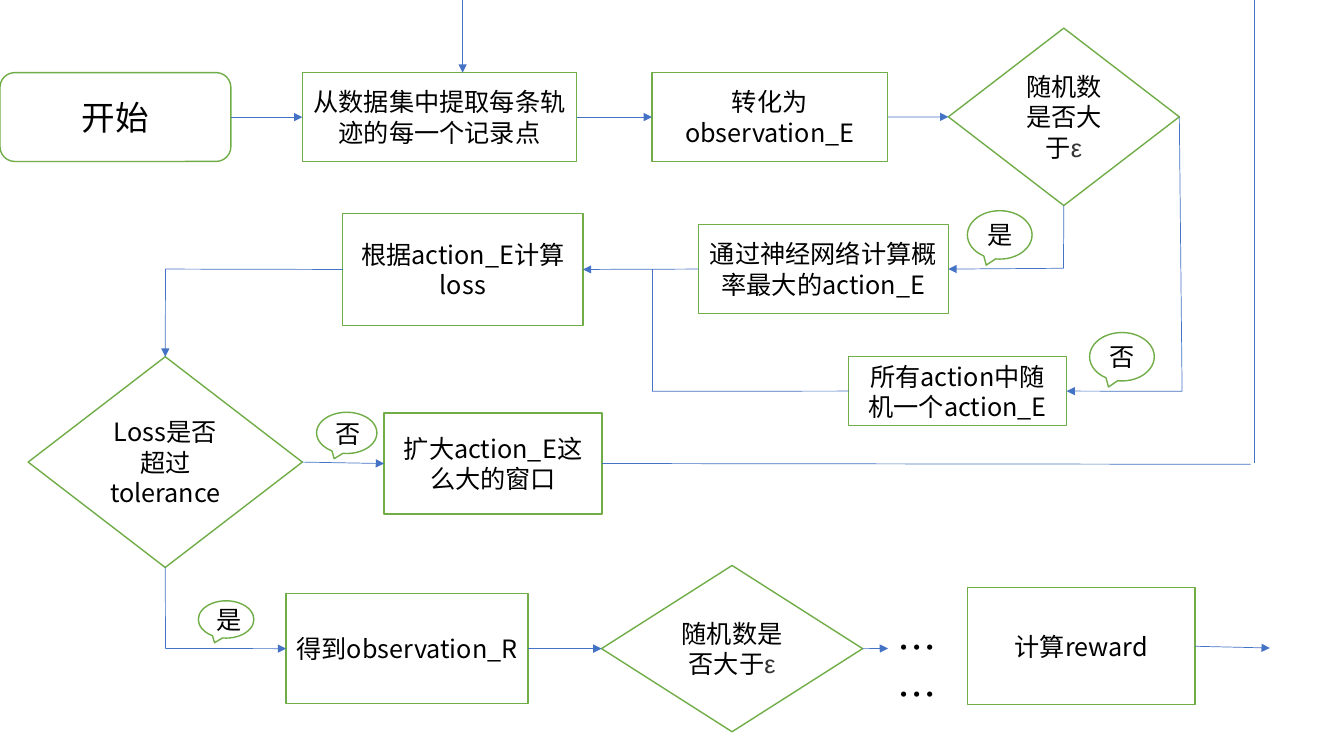
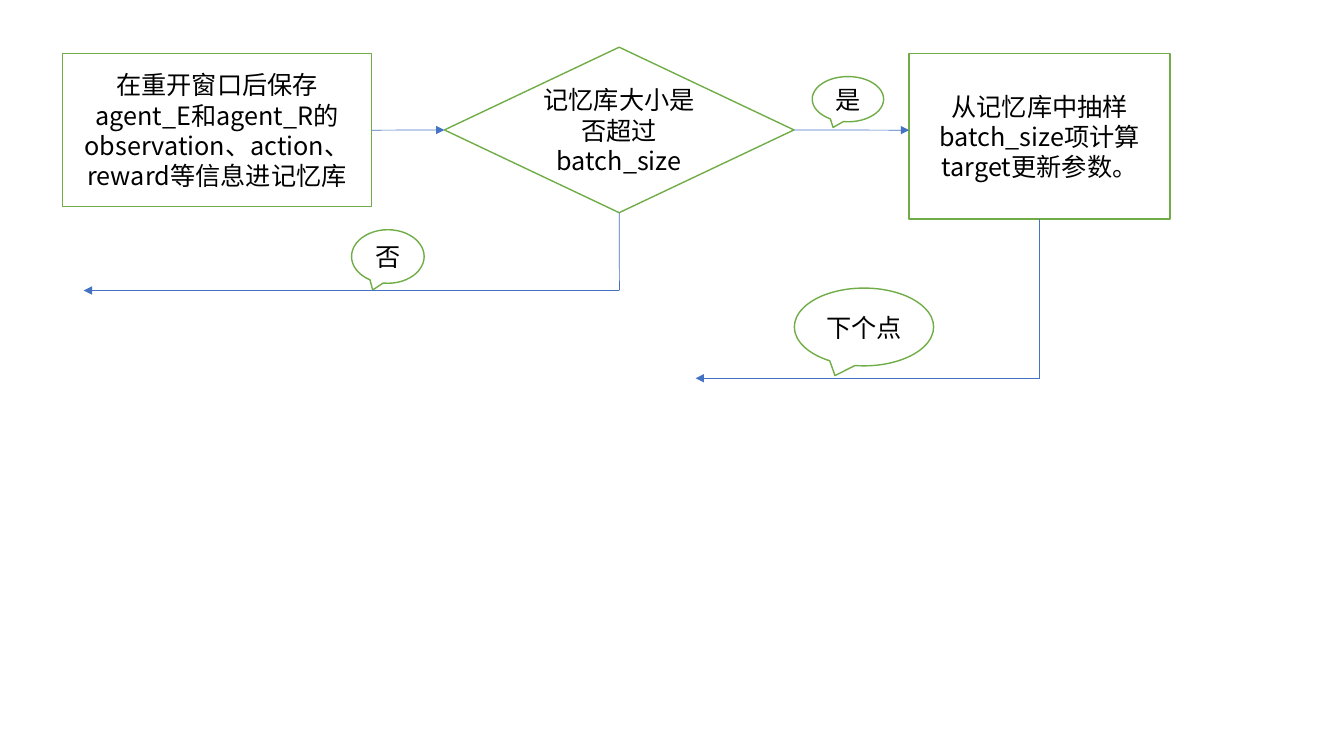
from dataclasses import dataclass
from lxml.etree import SubElement
from pptx import Presentation
from pptx.dml.color import RGBColor
from pptx.enum.shapes import MSO_CONNECTOR, MSO_SHAPE
from pptx.enum.text import MSO_ANCHOR, MSO_AUTO_SIZE, PP_ALIGN
from pptx.oxml.ns import qn
from pptx.util import Cm, Pt


@dataclass(frozen=True)
class Theme:
    paper: RGBColor = RGBColor(0xFF, 0xFF, 0xFF)
    outline: RGBColor = RGBColor(0x70, 0xAD, 0x47)
    wire: RGBColor = RGBColor(0x44, 0x72, 0xC4)
    ink: RGBColor = RGBColor(0, 0, 0)
    symbol_ink: RGBColor = RGBColor(0x33, 0x33, 0x33)
    font: str = "Noto Sans CJK SC"
    symbol_font: str = "Arial"
    body: Pt = Pt(18)
    start: Pt = Pt(24)
    dots: Pt = Pt(28)
    outline_width: Pt = Pt(1)
    wire_width: Pt = Pt(0.5)


theme = Theme()
TERMINAL = MSO_SHAPE.FLOWCHART_ALTERNATE_PROCESS
PROCESS = MSO_SHAPE.FLOWCHART_PROCESS
RECTANGLE = MSO_SHAPE.RECTANGLE
DECISION = MSO_SHAPE.DIAMOND
CALLOUT = MSO_SHAPE.OVAL_CALLOUT
PLAIN = None
TOP, LEFT, BOTTOM, RIGHT = range(4)
SYMBOL = "ε"


def add_box(page, kind, bounds, text, size):
    place = [Cm(length) for length in bounds]
    if kind is PLAIN:
        box = page.shapes.add_textbox(*place)
        box.text_frame.auto_size = MSO_AUTO_SIZE.SHAPE_TO_FIT_TEXT
    else:
        box = page.shapes.add_shape(kind, *place)
        box.shadow.inherit = False
        box.fill.solid()
        box.fill.fore_color.rgb = theme.paper
        box.line.color.rgb = theme.outline
        box.line.width = theme.outline_width
        box.text_frame.vertical_anchor = MSO_ANCHOR.MIDDLE
    box.text_frame.word_wrap = True
    para = box.text_frame.paragraphs[0]
    para.alignment = PP_ALIGN.LEFT if kind is PLAIN else PP_ALIGN.CENTER
    para.font.size = size
    para.font.name = theme.font
    para.font.color.rgb = theme.ink
    for properties in para._p.iter(qn("a:defRPr")):
        SubElement(properties, qn("a:ea"), typeface=theme.font)
    for part in filter(None, text.partition(SYMBOL)):
        span = para.add_run()
        span.text = part
        if part == SYMBOL:
            span.font.name = theme.symbol_font
            span.font.color.rgb = theme.symbol_ink
    return box


def add_wire(page, boxes, stops, arrow):
    points = []
    for first, second in stops:
        if isinstance(first, str):
            box = boxes[first]
            across = {LEFT: 0, RIGHT: 1}.get(second, 0.5)
            down = {TOP: 0, BOTTOM: 1}.get(second, 0.5)
            points.append((int(box.left + box.width * across), int(box.top + box.height * down)))
        else:
            points.append((Cm(first), Cm(second)))
    for index, (begin, end) in enumerate(zip(points, points[1:])):
        wire = page.shapes.add_connector(MSO_CONNECTOR.STRAIGHT, *begin, *end)
        wire.line.color.rgb = theme.wire
        wire.line.width = theme.wire_width
        source, target = stops[index], stops[index + 1]
        if isinstance(source[0], str):
            wire.begin_connect(boxes[source[0]], source[1])
        if isinstance(target[0], str):
            wire.end_connect(boxes[target[0]], target[1])
        if arrow and index == len(points) - 2:
            SubElement(wire.line._get_or_add_ln(), qn("a:tailEnd"), type="triangle")
        SubElement(wire._element.spPr, qn("a:effectLst"))


training_boxes = {
    "start": (TERMINAL, (0, 1.83, 5.82, 2.24), "开始"),
    "extract": (PROCESS, (7.62, 1.83, 6.91, 2.24), "从数据集中提取每条轨迹的每一个记录点"),
    "observation_E": (PROCESS, (16.43, 1.83, 5.94, 2.24), "转化为observation_E"),
    "epsilon_E": (DECISION, (23.9, 0.71, 5.82, 4.47), "随机数是否大于ε"),
    "epsilon yes": (CALLOUT, (24.38, 5.31, 1.63, 1.22), "是"),
    "epsilon no": (CALLOUT, (27.46, 8.38, 1.63, 1.22), "否"),
    "greedy": (RECTANGLE, (17.6, 5.66, 6.3, 2.24), "通过神经网络计算概率最大的action_E"),
    "random": (PROCESS, (21.39, 8.99, 5.49, 1.73), "所有action中随机一个action_E"),
    "loss": (RECTANGLE, (8.64, 5.38, 6.05, 2.82), "根据action_E计算loss"),
    "tolerance": (DECISION, (0.71, 8.99, 6.91, 5.31), "Loss是否超过tolerance"),
    "tolerance no": (CALLOUT, (7.98, 10.39, 1.52, 1.04), "否"),
    "enlarge": (PROCESS, (9.68, 10.41, 5.49, 2.54), "扩大action_E这么大的窗口"),
    "tolerance yes": (CALLOUT, (5, 15.14, 1.4, 0.94), "是"),
    "observation_R": (RECTANGLE, (7.21, 14.96, 6.1, 2.77), "得到observation_R"),
    "epsilon_R": (DECISION, (15.16, 14.25, 6.58, 4.19), "随机数是否大于ε"),
    "dots": (PLAIN, (22.38, 15.57, 1.96, 1.45), "……"),
    "reward": (PROCESS, (24.38, 14.81, 5.74, 2.95), "计算reward"),
}
training_wires = [
    ([("start", RIGHT), ("extract", LEFT)], True),
    ([("extract", RIGHT), ("observation_E", LEFT)], True),
    ([("observation_E", RIGHT), ("epsilon_E", LEFT)], True),
    ([("epsilon_E", BOTTOM), (26.8, 6.76), ("greedy", RIGHT)], True),
    ([("epsilon_E", RIGHT), (29.79, 9.86), ("random", RIGHT)], True),
    ([("greedy", LEFT), ("loss", RIGHT)], True),
    ([("random", LEFT), (16.43, 9.86), (16.43, 6.78)], False),
    ([("loss", LEFT), (4.17, 6.78), ("tolerance", TOP)], True),
    ([("tolerance", RIGHT), ("enlarge", LEFT)], True),
    ([("enlarge", RIGHT), (31.52, 11.7)], False),
    ([(31.62, 11.66), (31.62, 0)], False),
    ([(11.66, 0), (11.66, 1.83)], True),
    ([("tolerance", BOTTOM), (4.17, 16.34), ("observation_R", LEFT)], True),
    ([("observation_R", RIGHT), ("epsilon_R", LEFT)], True),
    ([("epsilon_R", RIGHT), (22.38, 16.34)], True),
    ([("reward", RIGHT), (32, 16.33)], True),
]
memory_boxes = {
    "save": (RECTANGLE, (1.57, 1.35, 7.8, 3.86),
             "在重开窗口后保存agent_E和agent_R的observation、action、reward等信息进记忆库"),
    "capacity": (DECISION, (11.2, 1.19, 8.81, 4.17), "记忆库大小是否超过batch_size"),
    "capacity no": (CALLOUT, (8.86, 5.79, 1.83, 1.35), "否"),
    "capacity yes": (CALLOUT, (20.47, 1.93, 1.8, 1.14), "是"),
    "sample": (PROCESS, (22.91, 1.35, 6.58, 4.17), "从记忆库中抽样batch_size项计算target更新参数。"),
    "next point": (CALLOUT, (20.02, 7.26, 3.51, 1.96), "下个点"),
}
memory_wires = [
    ([("save", RIGHT), ("capacity", LEFT)], True),
    ([("capacity", RIGHT), (22.91, 3.28)], True),
    ([("capacity", BOTTOM), (15.61, 7.32), (2.11, 7.32)], True),
    ([("sample", BOTTOM), (26.2, 9.53), (17.53, 9.53)], True),
]

deck = Presentation()
deck.slide_width, deck.slide_height = Cm(33.87), Cm(19.05)
sizes = {"start": theme.start, "dots": theme.dots}
for chart_boxes, chart_wires in ((training_boxes, training_wires), (memory_boxes, memory_wires)):
    page = deck.slides.add_slide(deck.slide_layouts[6])
    boxes = {
        name: add_box(page, kind, bounds, text, sizes.get(name, theme.body))
        for name, (kind, bounds, text) in chart_boxes.items()
    }
    for stops, arrow in chart_wires:
        add_wire(page, boxes, stops, arrow)
deck.save("out.pptx")
